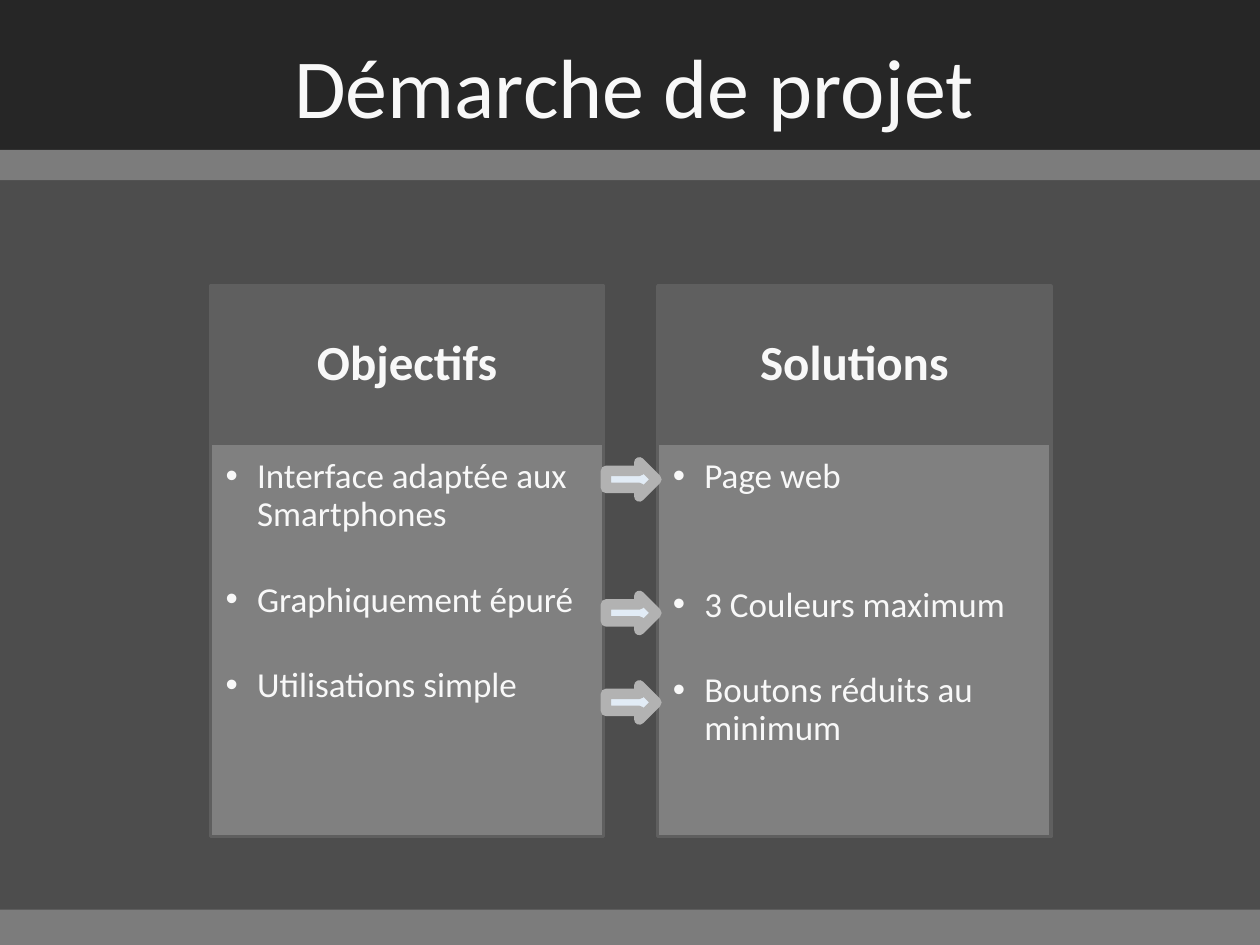
from lxml.etree import SubElement
from pptx import Presentation
from pptx.dml.color import RGBColor
from pptx.enum.shapes import MSO_SHAPE as Shape
from pptx.enum.text import MSO_ANCHOR as Anchor, PP_ALIGN as Align
from pptx.oxml.ns import qn
from pptx.util import Inches, Pt

TITLE = "Démarche de projet"
COLUMNS = [
    ("Objectifs", [("Interface adaptée aux Smartphones", 27.2),
                   ("Graphiquement épuré", 27.2),
                   ("Utilisations simple", 0)]),
    ("Solutions", [("Page web", 51.8),
                   ("3 Couleurs maximum", 27.2),
                   ("Boutons réduits au minimum", 0)]),
]
ARROW_TOPS = [3.67, 4.73, 5.44]

FONT = "Calibri"
BACKGROUND = RGBColor(0x4D, 0x4D, 0x4D)
BANNER = RGBColor(0x26, 0x26, 0x26)
STRIPE = RGBColor(0x7C, 0x7C, 0x7C)
HEADER = RGBColor(0x5F, 0x5F, 0x5F)
PANEL = RGBColor(0x80, 0x80, 0x80)
ARROW = RGBColor(0xE2, 0xEC, 0xF6)
ARROW_EDGE = RGBColor(0xB2, 0xB2, 0xB2)
TEXT = RGBColor(0xF8, 0xF8, 0xF8)

WIDTH, HEIGHT = 10, 7.5
BANDS = [(0, 1.31, BANNER), (1.19, 0.24, STRIPE), (7.22, HEIGHT - 7.22, STRIPE)]
COLUMN_LEFT, COLUMN_STEP, COLUMN_WIDTH = 1.67, 3.55, 3.12
HEADER_TOP, HEADER_HEIGHT, PANEL_HEIGHT = 2.27, 1.25, 3.12

presentation = Presentation()
presentation.slide_width, presentation.slide_height = Inches(WIDTH), Inches(HEIGHT)
slide = presentation.slides.add_slide(presentation.slide_layouts[5])
slide.background.fill.solid()
slide.background.fill.fore_color.rgb = BACKGROUND


def add_block(kind, box, color, edge=None, edge_width=2):
    shape = slide.shapes.add_shape(kind, *map(Inches, box))
    shape.shadow.inherit = False
    shape.fill.solid()
    shape.fill.fore_color.rgb = color
    if edge is None:
        shape.line.fill.background()
    else:
        shape.line.color.rgb = edge
        shape.line.width = Pt(edge_width)
    return shape


def set_frame(shape, insets, anchor):
    frame = shape.text_frame
    frame.word_wrap = True
    frame.vertical_anchor = anchor
    (frame.margin_left, frame.margin_top,
     frame.margin_right, frame.margin_bottom) = map(Inches, insets)
    return frame


def format_paragraph(paragraph, text, size, align, bold=False):
    paragraph.text = text
    paragraph.alignment = align
    font = paragraph.font
    font.name, font.size, font.bold = FONT, Pt(size), bold
    font.color.rgb = TEXT


def add_bullet(paragraph):
    properties = paragraph._p.get_or_add_pPr()
    properties.set("marL", str(Inches(0.25)))
    properties.set("indent", str(-Inches(0.25)))
    SubElement(properties, qn("a:buFont")).set("typeface", "Arial")
    SubElement(properties, qn("a:buChar")).set("char", "•")


for top, height, color in BANDS:
    add_block(Shape.RECTANGLE, (0, top, WIDTH, height), color)

title = slide.shapes.title
slide.shapes._spTree.append(title._element)
title.left, title.top, title.width, title.height = map(Inches, (0.5, 0.28, 9.07, 0.79))
frame = set_frame(title, (0.1, 0.05, 0.1, 0.05), Anchor.MIDDLE)
format_paragraph(frame.paragraphs[0], TITLE, 48, Align.CENTER)

for index, (heading, items) in enumerate(COLUMNS):
    left = COLUMN_LEFT + index * COLUMN_STEP
    header = add_block(Shape.RECTANGLE, (left, HEADER_TOP, COLUMN_WIDTH, HEADER_HEIGHT),
                       HEADER, HEADER)
    frame = set_frame(header, (0.22, 0.12, 0.22, 0.12), Anchor.MIDDLE)
    format_paragraph(frame.paragraphs[0], heading, 28, Align.CENTER, True)
    frame.paragraphs[0].line_spacing = 0.9

    panel = add_block(Shape.RECTANGLE,
                      (left, HEADER_TOP + HEADER_HEIGHT, COLUMN_WIDTH, PANEL_HEIGHT),
                      PANEL, HEADER)
    frame = set_frame(panel, (0.12, 0.12, 0.16, 0.17), Anchor.TOP)
    for number, (item, gap) in enumerate(items):
        paragraph = frame.add_paragraph() if number else frame.paragraphs[0]
        format_paragraph(paragraph, item, 20, Align.LEFT)
        paragraph.line_spacing = 0.9
        paragraph.space_after = Pt(gap)
        add_bullet(paragraph)

for top in ARROW_TOPS:
    add_block(Shape.RIGHT_ARROW, (4.81, top, 0.4, 0.27), ARROW, ARROW_EDGE, 6)

presentation.save("out.pptx")
